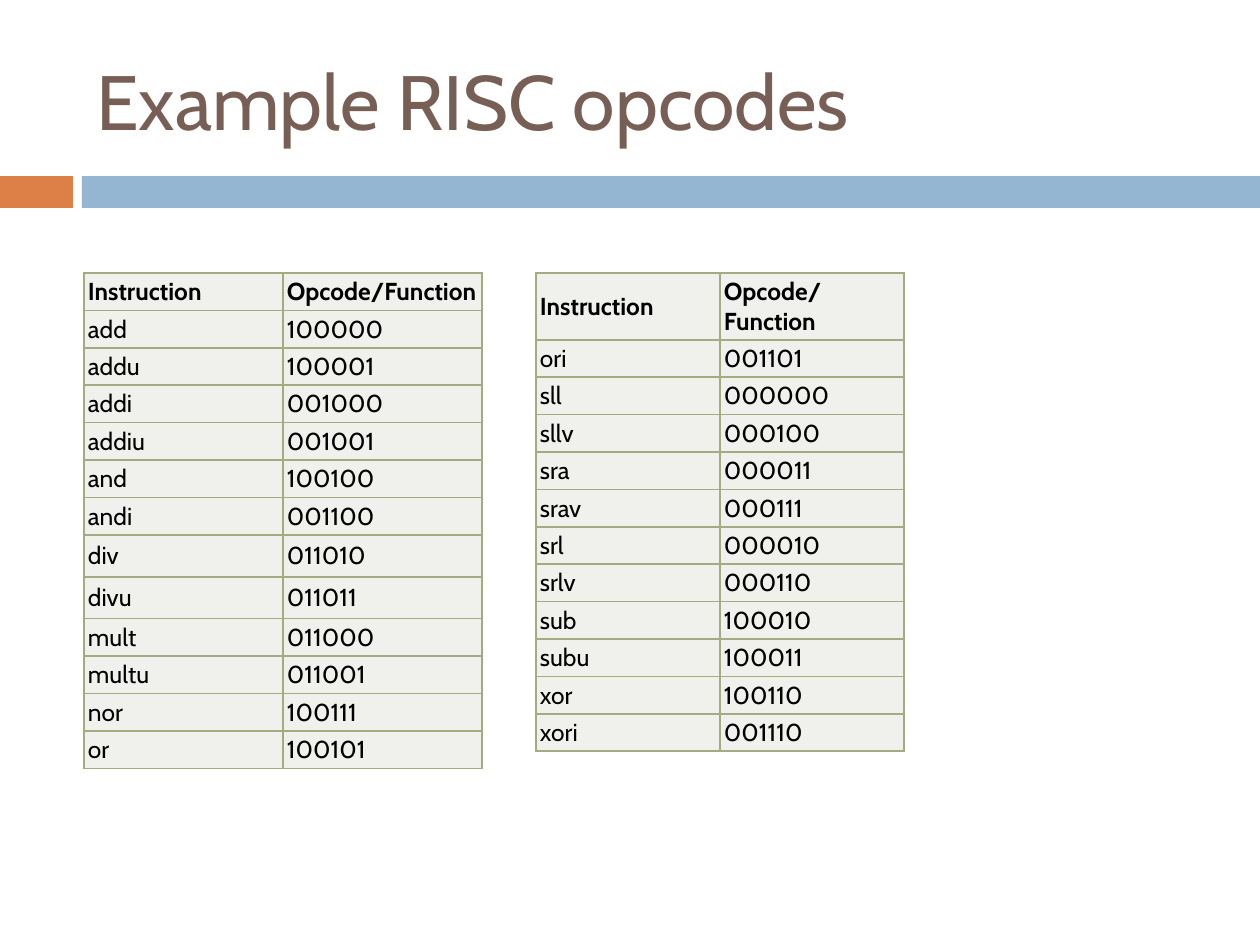
import pptx
import pptx.dml.color
import pptx.enum.shapes
import pptx.enum.text
import pptx.oxml
import pptx.oxml.ns
import pptx.util

EMU_PER_PX = 914400 // 126
MIDDLE = pptx.enum.text.MSO_ANCHOR.MIDDLE

THEME = {
    "font": "Cabin",
    "title_size": 44, "table_size": 14, "border_width": 1,
    "title": "775F55", "text": "000000", "accent": "DD8047", "band": "94B6D2",
    "cell": "F0F1ED", "border": "A5AB81",
}

HEADER = ("Instruction", "Opcode/Function")
ADD_TO_OR = [
    ("add", "100000"), ("addu", "100001"), ("addi", "001000"),
    ("addiu", "001001"), ("and", "100100"), ("andi", "001100"),
    ("div", "011010"), ("divu", "011011"), ("mult", "011000"),
    ("multu", "011001"), ("nor", "100111"), ("or", "100101"),
]
ORI_TO_XORI = [
    ("ori", "001101"), ("sll", "000000"), ("sllv", "000100"),
    ("sra", "000011"), ("srav", "000111"), ("srl", "000010"),
    ("srlv", "000110"), ("sub", "100010"), ("subu", "100011"),
    ("xor", "100110"), ("xori", "001110"),
]
ROW_HEIGHT = 25
TALL_ROWS = {"div": 42, "divu": 42}


def px(length):
    return pptx.util.Emu(length * EMU_PER_PX)


def rgb(name):
    return pptx.dml.color.RGBColor.from_string(THEME[name])


def set_all(target, values):
    for name, value in values.items():
        setattr(target, name, value)


def write(frame, text, size, color, bold=False):
    run = frame.paragraphs[0].add_run()
    run.text = text
    set_all(run.font, {"name": THEME["font"], "size": pptx.util.Pt(THEME[size]), "bold": bold})
    run.font.color.rgb = rgb(color)


def add_title(slide, text, left, top, width, height):
    title = slide.shapes.add_textbox(px(left), px(top), px(width), px(height))
    set_all(title.text_frame, {"word_wrap": True, "vertical_anchor": MIDDLE})
    write(title.text_frame, text, "title_size", "title")


def add_divider(slide, left, top, width, height):
    accent_width, gap = 73, 9
    band_left = accent_width + gap
    for color, offset, bar_width in (("accent", 0, accent_width),
                                     ("band", band_left, width - band_left)):
        bar = slide.shapes.add_shape(pptx.enum.shapes.MSO_SHAPE.RECTANGLE,
                                     px(left + offset), px(top), px(bar_width), px(height))
        bar.shadow.inherit = False
        bar.fill.solid()
        bar.fill.fore_color.rgb = rgb(color)
        bar.line.fill.background()


def add_borders(cell):
    properties = cell._tc.get_or_add_tcPr()
    width = pptx.util.Pt(THEME["border_width"])
    for index, side in enumerate(("lnL", "lnR", "lnT", "lnB")):
        # Borders have to come before the fill
        properties.insert(index, pptx.oxml.parse_xml(
            f'<a:{side} {pptx.oxml.ns.nsdecls("a")} w="{width}"><a:solidFill>'
            f'<a:srgbClr val="{THEME["border"]}"/></a:solidFill></a:{side}>'))


def add_opcode_table(slide, opcodes, left, top, width, height):
    rows = [HEADER, *opcodes]
    frame = slide.shapes.add_table(len(rows), len(HEADER),
                                   px(left), px(top), px(width), px(height))
    table = frame.table
    set_all(table, {"first_row": False, "horz_banding": False})
    margins = {f"margin_{side}": px(4) for side in ("left", "right", "top", "bottom")}
    for row_index, values in enumerate(rows):
        table.rows[row_index].height = px(TALL_ROWS.get(values[0], ROW_HEIGHT))
        for column_index, value in enumerate(values):
            cell = table.cell(row_index, column_index)
            set_all(cell, {"vertical_anchor": MIDDLE, **margins})
            cell.fill.solid()
            cell.fill.fore_color.rgb = rgb("cell")
            add_borders(cell)
            write(cell.text_frame, value, "table_size", "text", bold=row_index == 0)
    # Rows grow to fit their text, so the frame is taller than their sum
    frame.height = px(height)


def main():
    presentation = pptx.Presentation()
    set_all(presentation, {"slide_width": px(1260), "slide_height": px(945)})
    slide = presentation.slides.add_slide(presentation.slide_layouts[6])

    # Heading
    add_divider(slide, 0, 176, 1260, 32)
    add_title(slide, "Example RISC opcodes", 84, 32, 1124, 136)

    # Opcode tables
    add_opcode_table(slide, ADD_TO_OR, 84, 273, 398, 491)
    add_opcode_table(slide, ORI_TO_XORI, 536, 273, 368, 446)

    presentation.save("out.pptx")


if __name__ == "__main__":
    main()
